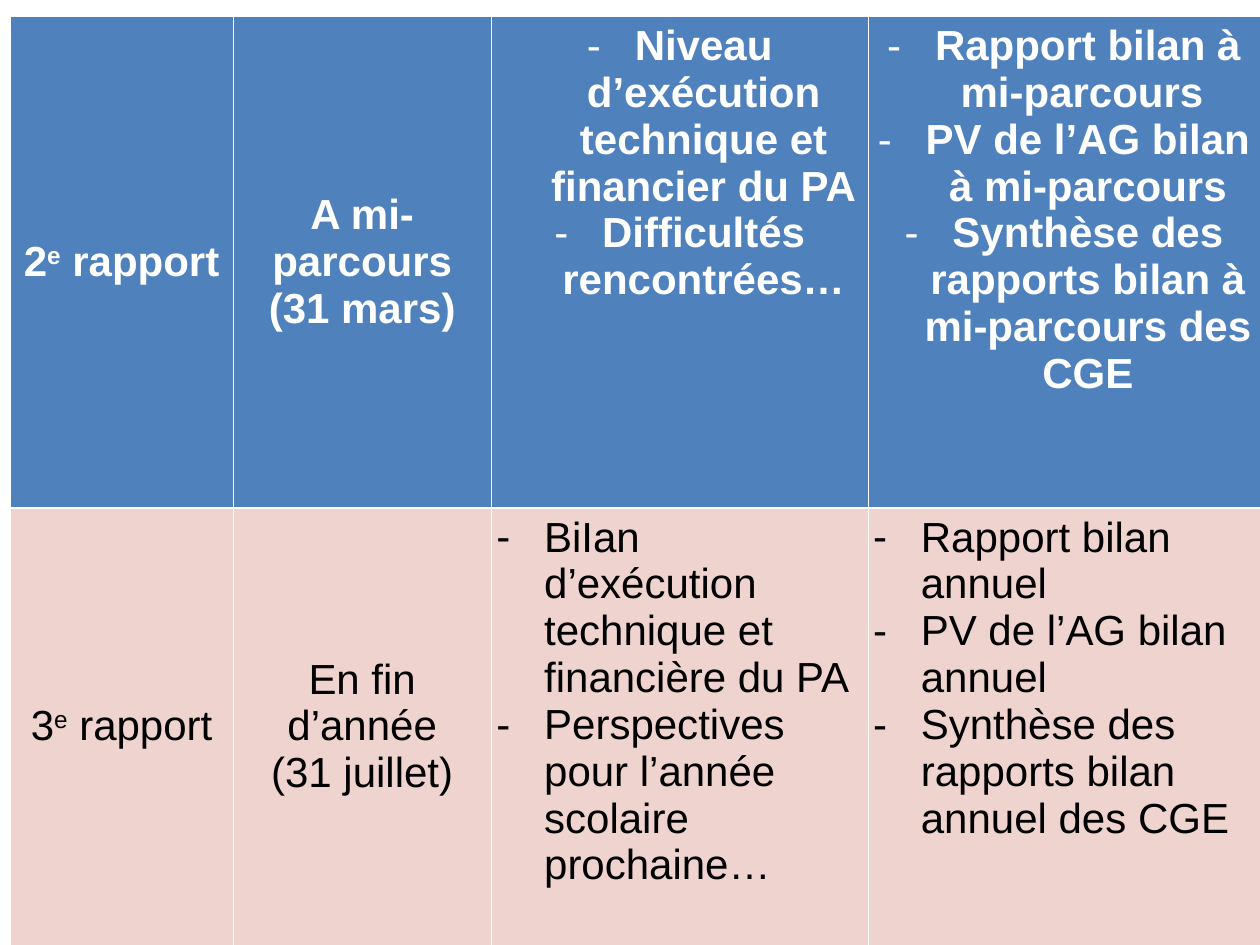
from lxml.etree import SubElement
from pptx import Presentation
from pptx.dml.color import RGBColor
from pptx.enum.text import MSO_ANCHOR, PP_ALIGN
from pptx.oxml import parse_xml
from pptx.oxml.ns import nsdecls, qn
from pptx.util import Inches, Pt

HUES = {"head": "4F81BD", "body": "EED3CF", "light": "FFFFFF", "dark": "000000"}
FONT, SIZE = "Arial", 24
LEFT, TOP = 0.08, 0.13
COLS = [1.77, 2.05, 2.99, 3.11]
ROWS = [3.9, 3.47]
INDENT = 0.38
THIN, THICK = 0.45, 1.47

# A tuple is a line of runs; its second run is raised.
CELLS = [
    [
        [("2", "e", " rapport")],
        ["A mi-parcours", "(31 mars)"],
        ["Niveau d’exécution technique et financier du PA",
         "Difficultés rencontrées…"],
        ["Rapport bilan à mi-parcours ",
         "PV de l’AG bilan à mi-parcours",
         "Synthèse des rapports bilan à mi-parcours des CGE"],
    ],
    [
        [("3", "e", " rapport")],
        ["En fin d’année", "(31 juillet)"],
        ["BiIan d’exécution technique et financière du PA",
         "Perspectives pour l’année scolaire prochaine…"],
        ["Rapport bilan annuel",
         "PV de l’AG bilan annuel",
         "Synthèse des rapports bilan annuel des CGE"],
    ],
]
STYLES = [
    {"fill": "head", "color": "light", "bold": True, "top": THIN, "bottom": THICK},
    {"fill": "body", "color": "dark", "bold": False, "top": THICK, "bottom": THIN},
]


def add_dash(para, color):
    """Give the paragraph a hanging dash."""
    props = para._p.get_or_add_pPr()
    props.set("marL", str(Inches(INDENT)))
    props.set("indent", str(-Inches(INDENT)))
    hue = SubElement(props, qn("a:buClr"))
    SubElement(hue, qn("a:srgbClr"), val=HUES[color])
    SubElement(props, qn("a:buFont"), typeface=FONT)
    SubElement(props, qn("a:buChar"), char="-")


def write(para, text, color, bold, align):
    para.alignment = align
    parts = text if isinstance(text, tuple) else (text,)
    for i, part in enumerate(parts):
        run = para.add_run()
        run.text = part
        font = run.font
        font.name, font.size, font.bold = FONT, Pt(SIZE), bold
        font.color.rgb = RGBColor.from_string(HUES[color])
        if i == 1:
            run._r.get_or_add_rPr().set("baseline", "30000")


def add_lines(cell, top, bottom):
    """Put a white border on each side of the cell."""
    props = cell._tc.get_or_add_tcPr()
    sides = [("L", THIN), ("R", THIN), ("T", top), ("B", bottom)]
    for i, (side, width) in enumerate(sides):
        props.insert(i, parse_xml(
            f'<a:ln{side} {nsdecls("a")} w="{Pt(width)}"><a:solidFill>'
            f'<a:srgbClr val="{HUES["light"]}"/></a:solidFill></a:ln{side}>'))


def fill_cell(cell, lines, style, listed, align):
    cell.fill.solid()
    cell.fill.fore_color.rgb = RGBColor.from_string(HUES[style["fill"]])
    cell.margin_left = cell.margin_right = Inches(0.04)
    cell.margin_top = cell.margin_bottom = Inches(0.05)
    cell.vertical_anchor = MSO_ANCHOR.TOP if listed else MSO_ANCHOR.MIDDLE
    add_lines(cell, style["top"], style["bottom"])
    frame = cell.text_frame
    for i, line in enumerate(lines):
        para = frame.add_paragraph() if i else frame.paragraphs[0]
        if listed:
            add_dash(para, style["color"])
        write(para, line, color=style["color"], bold=style["bold"], align=align)


def main():
    deck = Presentation()
    deck.slide_width, deck.slide_height = Inches(10), Inches(7.5)
    slide = deck.slides.add_slide(deck.slide_layouts[6])
    table = slide.shapes.add_table(
        len(ROWS), len(COLS), Inches(LEFT), Inches(TOP),
        Inches(sum(COLS)), Inches(sum(ROWS))).table
    table.first_row = table.horz_banding = False
    for col, width in zip(table.columns, COLS):
        col.width = Inches(width)
    for r, (cells, style) in enumerate(zip(CELLS, STYLES)):
        table.rows[r].height = Inches(ROWS[r])
        for c, lines in enumerate(cells):
            listed = c > 1
            left = listed and r > 0
            fill_cell(table.cell(r, c), lines, style, listed,
                      PP_ALIGN.LEFT if left else PP_ALIGN.CENTER)
    deck.save("out.pptx")


if __name__ == "__main__":
    main()
